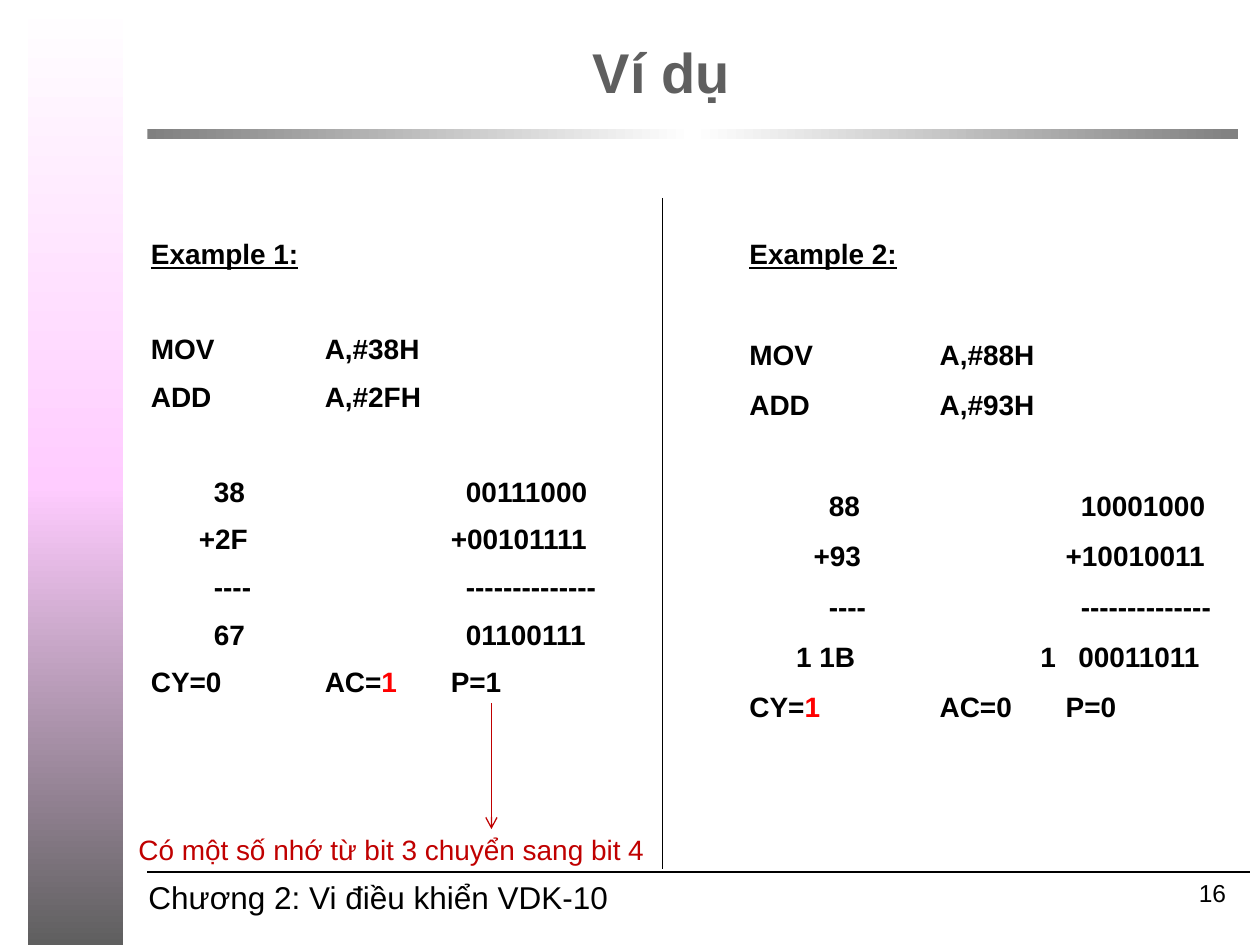
from dataclasses import dataclass

from copy import deepcopy
from lxml import etree
from pptx import Presentation
from pptx.dml.color import RGBColor
from pptx.enum.shapes import MSO_CONNECTOR, MSO_SHAPE
from pptx.enum.text import MSO_ANCHOR, MSO_AUTO_SIZE, PP_ALIGN
from pptx.oxml.ns import qn
from pptx.util import Emu, Pt

RECT, STRAIGHT = MSO_SHAPE.RECTANGLE, MSO_CONNECTOR.STRAIGHT
LEFT, CENTER, RIGHT = PP_ALIGN.LEFT, PP_ALIGN.CENTER, PP_ALIGN.RIGHT
MIDDLE, NO_FIT = MSO_ANCHOR.MIDDLE, MSO_AUTO_SIZE.NONE

PX = 9144  # 100 px to the inch
FONT = "Arial"
LINE_HEIGHT = 19.1  # points, one line of 16 pt text
COLORS = {
    "white": "FFFFFF", "black": "000000", "pink": "FFCCFF", "gray": "808080",
    "slate": "5F5F5F", "red": "FF0000", "note": "C00000",
}


@dataclass
class Band:
    box: tuple[int, int, int, int]
    colors: list[str]
    angle: int


@dataclass
class Line:
    start: tuple[int, int]
    end: tuple[int, int]
    color: str = "black"
    arrow: bool = False


@dataclass
class Label:
    box: tuple[int, int, int, int]
    text: str
    size: int
    color: str = "black"
    align: PP_ALIGN = LEFT


@dataclass
class Row:
    """A line of code; runs are (text, color), tabs are px from the text edge."""
    runs: list[tuple[str, str]]
    tabs: tuple[int, ...] = ()
    gap_above: bool = False
    underline: bool = False


@dataclass
class Example:
    box: tuple[int, int, int, int]
    space_before: float
    rows: list[Row]


def px(*lengths: int) -> list[Emu]:
    return [Emu(n * PX) for n in lengths]


def rgb(name: str) -> RGBColor:
    return RGBColor.from_string(COLORS[name])


def add_run(p, text: str, color: str, **fmt) -> None:
    r = p.add_run()
    r.text = text
    r.font.color.rgb = rgb(color)
    for key, value in {"name": FONT, **fmt}.items():
        setattr(r.font, key, value)


def set_tabs(p, tabs: tuple[int, ...]) -> None:
    tab_list = etree.SubElement(p._p.get_or_add_pPr(), qn("a:tabLst"))
    for tab in tabs:
        etree.SubElement(tab_list, qn("a:tab"), pos=str(tab * PX), algn="l")


def add_band(slide, band: Band) -> None:
    s = slide.shapes.add_shape(RECT, *px(*band.box))
    s.shadow.inherit = False
    s.line.fill.background()
    s.fill.gradient()
    s.fill.gradient_angle = band.angle
    stops = s._element.spPr.find(qn("a:gradFill")).find(qn("a:gsLst"))
    while len(stops) < len(band.colors):
        stops.append(deepcopy(stops[0]))
    for i, (stop, color) in enumerate(zip(s.fill.gradient_stops, band.colors)):
        stop.position = i / (len(band.colors) - 1)
        stop.color.rgb = rgb(color)


def add_line(slide, line: Line) -> None:
    s = slide.shapes.add_connector(STRAIGHT, *px(*line.start, *line.end))
    s.line.color.rgb = rgb(line.color)
    s.line.width = Pt(0.75)
    if line.arrow:
        etree.SubElement(s.line._get_or_add_ln(), qn("a:tailEnd"), type="arrow")
    etree.SubElement(s._element.spPr, qn("a:effectLst"))


def add_text_box(slide, box: tuple[int, int, int, int]):
    tf = slide.shapes.add_textbox(*px(*box)).text_frame
    tf.word_wrap = True
    return tf


def add_label(slide, label: Label) -> None:
    p = add_text_box(slide, label.box).paragraphs[0]
    p.alignment = label.align
    add_run(p, label.text, label.color, size=Pt(label.size))


def add_example(slide, example: Example) -> None:
    tf = add_text_box(slide, example.box)
    space = example.space_before
    for i, row in enumerate(example.rows):
        p = tf.add_paragraph() if i else tf.paragraphs[0]
        if i:
            p.space_before = Pt(2 * space + LINE_HEIGHT if row.gap_above else space)
        set_tabs(p, row.tabs)
        for text, color in row.runs:
            add_run(p, text, color, size=Pt(16), bold=True, underline=row.underline)


def set_title(slide, text: str) -> None:
    s = slide.shapes.title
    s.left, s.top, s.width, s.height = px(50, 29, 950, 68)
    tf = s.text_frame
    tf.auto_size, tf.vertical_anchor = NO_FIT, MIDDLE
    p = tf.paragraphs[0]
    p.alignment, p.line_spacing = CENTER, 0.7
    add_run(p, text, "slate", size=Pt(32), bold=True)


def plain(text: str, tabs: tuple[int, ...] = (), **options) -> Row:
    return Row([(text, "black")], tabs, **options)


def example_rows(title: str, operands: tuple[str, str], indent: int,
                 sums: list[str], result: Row, flags: list[tuple[str, str]]) -> list[Row]:
    """Heading, two instructions, the addition in hex and binary, then the flags."""
    code_tabs = (indent + 100, indent + 200)
    plus_tabs = (indent, indent + 200)
    digit_tabs = tuple(tab + 12 for tab in plus_tabs)
    first, second = sums
    return [
        plain(title, underline=True),
        plain(f"MOV\t{operands[0]}", code_tabs, gap_above=True),
        plain(f"ADD\t{operands[1]}", code_tabs),
        plain(first, digit_tabs, gap_above=True),
        plain(second, plus_tabs),
        plain("\t----\t--------------", digit_tabs),
        result,
        Row(flags, code_tabs),
    ]


BANDS = [
    Band((22, 0, 76, 386), ["white", "pink"], 270),
    Band((22, 385, 76, 365), ["pink", "slate"], 270),
    Band((117, 102, 866, 8), ["gray", "white", "gray"], 0),
]
LINES = [
    Line((117, 692), (992, 692)),
    Line((526, 157), (526, 690)),
    Line((390, 558), (390, 658), "note", arrow=True),
]
LABELS = [
    Label((108, 692, 592, 40), "Chương 2: Vi điều khiển VDK-10", 18),
    Label((750, 692, 233, 52), "16", 14, align=RIGHT),
    Label((100, 656, 508, 37), "Có một số nhớ từ bit 3 chuyển sang bit 4", 16, "note"),
]
EXAMPLES = [
    Example((110, 183, 557, 252), 8, example_rows(
        "Example 1:", ("A,#38H", "A,#2FH"), 38,
        ["\t38\t00111000", "\t+2F\t+00101111"],
        plain("\t67\t01100111", (50, 250)),
        [("CY=0\tAC=", "black"), ("1", "red"), ("\tP=1", "black")])),
    Example((585, 183, 413, 244), 9.6, example_rows(
        "Example 2:", ("A,#88H", "A,#93H"), 51,
        ["\t88\t10001000", "\t+93\t+10010011"],
        plain("\t1 1B\t1\t00011011", (37, 231, 261)),
        [("CY=", "black"), ("1", "red"), ("\tAC=0\tP=0", "black")])),
]


def main() -> None:
    prs = Presentation()
    prs.slide_width, prs.slide_height = px(1000, 750)
    slide = prs.slides.add_slide(prs.slide_layouts[5])
    set_title(slide, "Ví dụ")
    for draw, items in ((add_band, BANDS), (add_line, LINES),
                        (add_label, LABELS), (add_example, EXAMPLES)):
        for item in items:
            draw(slide, item)
    prs.save("out.pptx")


if __name__ == "__main__":
    main()
